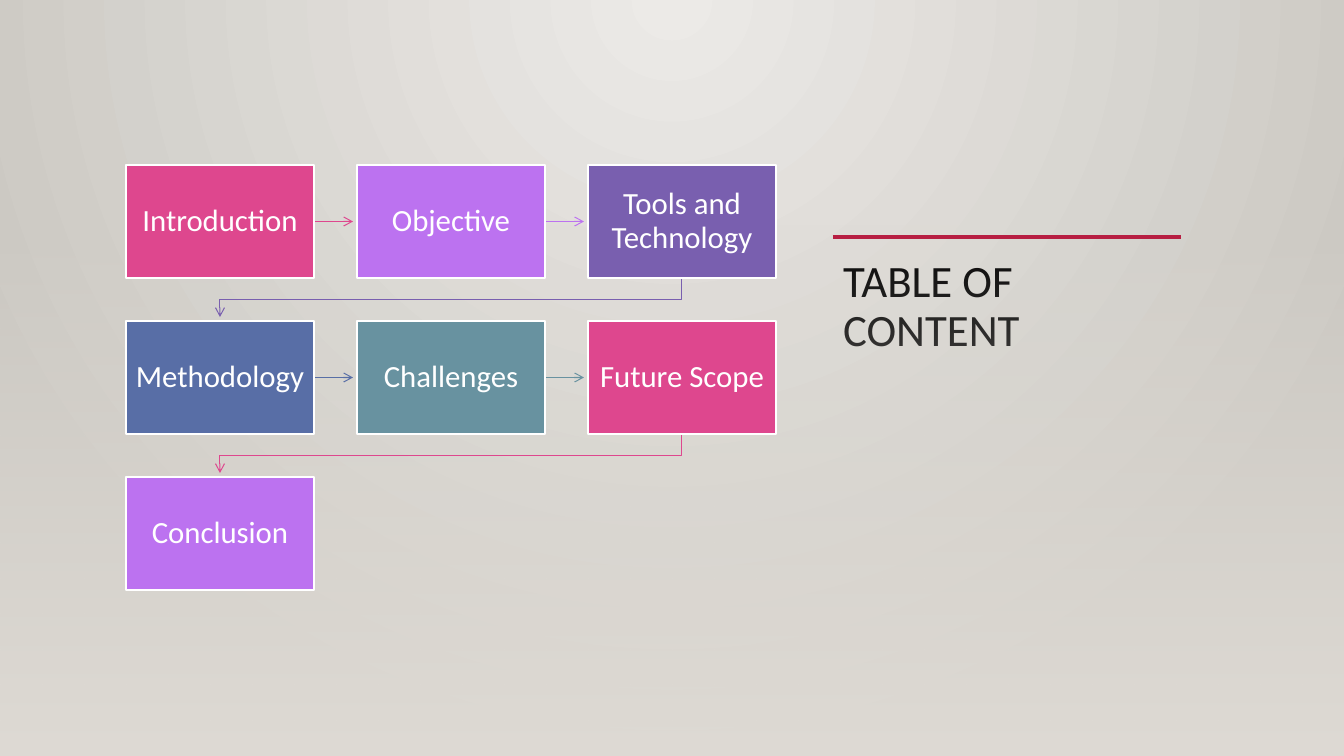
import pptx
import pptx.dml.color
import pptx.enum.shapes
import pptx.enum.text
import pptx.oxml
import pptx.oxml.ns
import pptx.util

RGBColor = pptx.dml.color.RGBColor
PINK = RGBColor(0xDE, 0x47, 0x8E)
VIOLET = RGBColor(0xBC, 0x72, 0xF0)
PURPLE = RGBColor(0x79, 0x5F, 0xAF)
BLUE = RGBColor(0x58, 0x6E, 0xA6)
TEAL = RGBColor(0x68, 0x92, 0xA0)
CRIMSON = RGBColor(0xB7, 0x1E, 0x42)
WHITE = RGBColor(0xFF, 0xFF, 0xFF)
BLACK = RGBColor(0x00, 0x00, 0x00)
GLOW = RGBColor(0xEC, 0xEA, 0xE7)
EDGE = RGBColor(0xCA, 0xC7, 0xC1)
FLOOR = RGBColor(0xDF, 0xDB, 0xD5)

TITLE = "TABLE OF CONTENT"
TOPICS = [
    ("Introduction", PINK),
    ("Objective", VIOLET),
    ("Tools and Technology", PURPLE),
    ("Methodology", BLUE),
    ("Challenges", TEAL),
    ("Future Scope", PINK),
    ("Conclusion", VIOLET),
]

EMU_PER_PX = 914400 / 100.8
SLIDE_WIDTH, SLIDE_HEIGHT = 1344, 756
FLOOR_TOP = 223
TITLE_BOX = (833, 254, 348, 413)
RULE_Y = 237
COLUMNS = 3
GRID_LEFT, GRID_TOP = 126, 165
STEP_X, STEP_Y = 231, 156
BOX_WIDTH, BOX_HEIGHT = 188, 113
ARROW_GAP = 4
TEXT_FRAME = {
    "word_wrap": True,
    "vertical_anchor": pptx.enum.text.MSO_ANCHOR.MIDDLE,
    "margin_left": pptx.util.Inches(0.09),
    "margin_right": pptx.util.Inches(0.09),
    "margin_top": pptx.util.Inches(0.1),
    "margin_bottom": pptx.util.Inches(0.1),
}
TITLE_FRAME = TEXT_FRAME | {
    "vertical_anchor": pptx.enum.text.MSO_ANCHOR.TOP,
    "margin_left": pptx.util.Inches(0.1),
    "margin_top": pptx.util.Inches(0.05),
}


def px(*lengths):
    return [pptx.util.Emu(round(length * EMU_PER_PX)) for length in lengths]


def add_xml(parent, tag, **attributes):
    child = pptx.oxml.parse_xml(f"<a:{tag} {pptx.oxml.ns.nsdecls('a')}/>")
    for name, value in attributes.items():
        child.set(name, value)
    parent.append(child)
    return child


def set_gradient(fill, *colors):
    fill.gradient()
    for stop, color in zip(fill.gradient_stops, colors):
        stop.color.rgb = color


def write(frame, text, size, color, frame_format, alignment):
    for name, value in frame_format.items():
        setattr(frame, name, value)
    para = frame.paragraphs[0]
    para.alignment = alignment
    para.line_spacing = 0.9
    span = para.add_run()
    span.text = text
    span.font.name = "Calibri"
    span.font.size = pptx.util.Pt(size)
    span.font.color.rgb = color


def set_line(shape, color, width):
    shape.line.color.rgb = color
    shape.line.width = pptx.util.Pt(width)


def add_line(slide, start, end, color, width):
    line = slide.shapes.add_connector(
        pptx.enum.shapes.MSO_CONNECTOR.STRAIGHT, *px(*start, *end))
    set_line(line, color, width)
    add_xml(line.element.spPr, "effectLst")
    return line


def add_rectangle(slide, *bounds):
    box = slide.shapes.add_shape(
        pptx.enum.shapes.MSO_SHAPE.RECTANGLE, *px(*bounds))
    box.shadow.inherit = False
    return box


def add_elbow(slide, points, color, width):
    start, *others = [px(*point) for point in points]
    builder = slide.shapes.build_freeform(*start)
    builder.add_line_segments(others, close=False)
    elbow = builder.convert_to_shape()
    elbow.shadow.inherit = False
    elbow.fill.background()
    set_line(elbow, color, width)
    return elbow


def draw_backdrop(slide):
    """Light glow from the top centre, fading into a plain floor."""
    set_gradient(slide.background.fill, GLOW, EDGE)
    gradient = slide.element.find(".//" + pptx.oxml.ns.qn("a:gradFill"))
    gradient.remove(gradient.find(pptx.oxml.ns.qn("a:lin")))
    circle = add_xml(gradient, "path", path="circle")
    add_xml(circle, "fillToRect", l="43000", r="43000", b="100000")

    floor = add_rectangle(
        slide, 0, FLOOR_TOP, SLIDE_WIDTH, SLIDE_HEIGHT - FLOOR_TOP)
    set_gradient(floor.fill, FLOOR, FLOOR)
    floor.fill.gradient_angle = 270
    floor.line.fill.background()
    first_color = floor.element.find(".//" + pptx.oxml.ns.qn("a:srgbClr"))
    add_xml(first_color, "alpha", val="0")


def draw_title(slide):
    title = slide.shapes.title
    title.left, title.top, title.width, title.height = px(*TITLE_BOX)
    write(title.text_frame, TITLE, 32, BLACK, TITLE_FRAME,
          pptx.enum.text.PP_ALIGN.LEFT)
    left, _, width, _ = TITLE_BOX
    add_line(slide, (left, RULE_Y), (left + width, RULE_Y), CRIMSON, 2.5)


def draw_arrow(slide, column, left, top, color):
    """Lead to the box on the right, or from the last column to the next row."""
    if column < COLUMNS - 1:
        y = top + BOX_HEIGHT / 2
        arrow = add_line(slide, (left + BOX_WIDTH, y),
                         (left + STEP_X - ARROW_GAP, y), color, 0.75)
    else:
        start_x, end_x = left + BOX_WIDTH / 2, GRID_LEFT + BOX_WIDTH / 2
        bottom, next_top = top + BOX_HEIGHT, top + STEP_Y
        turn_y = (bottom + next_top) / 2
        arrow = add_elbow(slide, [
            (start_x, bottom), (start_x, turn_y),
            (end_x, turn_y), (end_x, next_top - ARROW_GAP)], color, 0.75)
    add_xml(arrow.line._get_or_add_ln(), "tailEnd", type="arrow")


def draw_topics(slide):
    for index, (topic, color) in enumerate(TOPICS):
        row, column = divmod(index, COLUMNS)
        left, top = GRID_LEFT + column * STEP_X, GRID_TOP + row * STEP_Y
        if index < len(TOPICS) - 1:
            draw_arrow(slide, column, left, top, color)
        box = add_rectangle(slide, left, top, BOX_WIDTH, BOX_HEIGHT)
        box.fill.solid()
        box.fill.fore_color.rgb = color
        set_line(box, WHITE, 1.25)
        write(box.text_frame, topic, 22, WHITE, TEXT_FRAME,
              pptx.enum.text.PP_ALIGN.CENTER)


def main():
    deck = pptx.Presentation()
    deck.slide_width, deck.slide_height = px(SLIDE_WIDTH, SLIDE_HEIGHT)
    slide = deck.slides.add_slide(deck.slide_layouts.get_by_name("Title Only"))
    draw_backdrop(slide)
    draw_title(slide)
    draw_topics(slide)
    deck.save("out.pptx")


if __name__ == "__main__":
    main()
